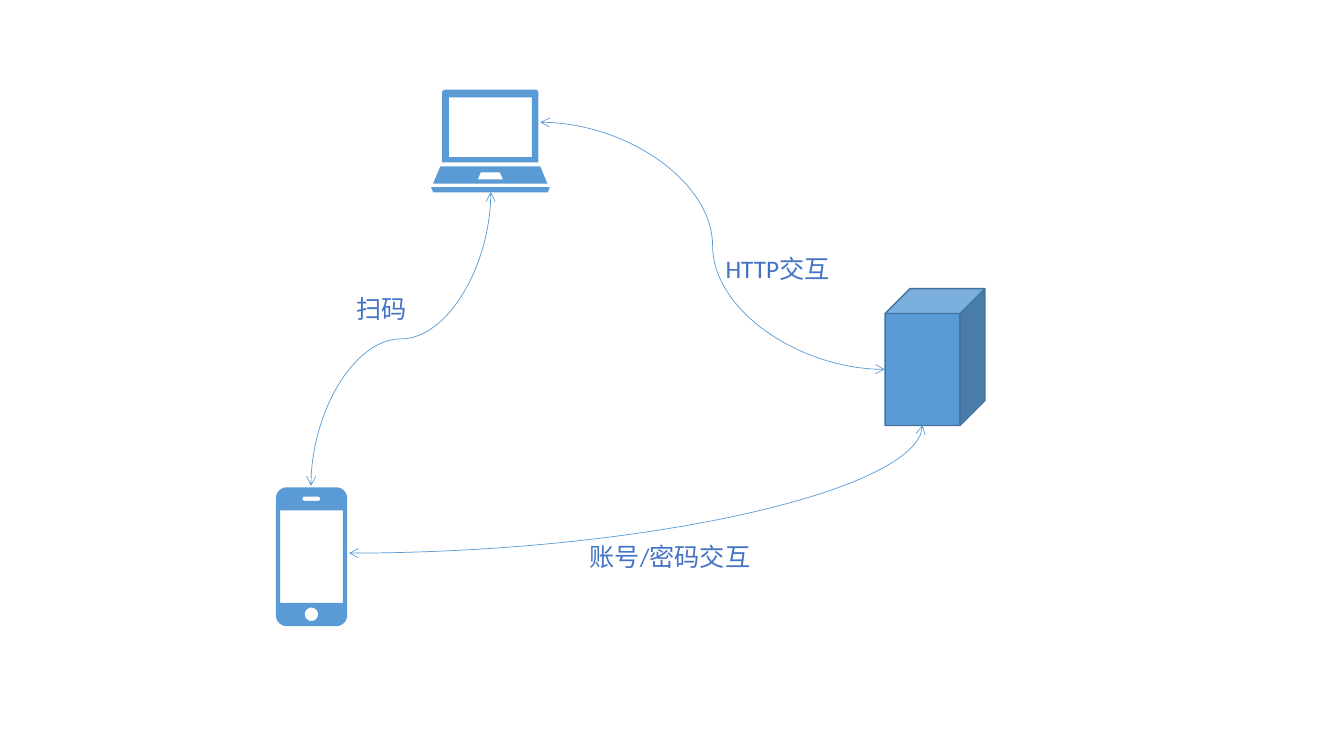
from dataclasses import dataclass
from math import cos, radians, sin

from lxml import etree
from pptx import Presentation
from pptx.dml.color import RGBColor
from pptx.enum.shapes import MSO_CONNECTOR, MSO_SHAPE
from pptx.enum.text import MSO_AUTO_SIZE
from pptx.oxml.ns import qn
from pptx.util import Pt

CURVE = MSO_CONNECTOR.CURVE
CUBE = MSO_SHAPE.CUBE
GROW = MSO_AUTO_SIZE.SHAPE_TO_FIT_TEXT

BLUE = "5B9BD5"
EDGE = "43739E"
TEXT = "4472C4"
LABEL_FONT = {"name": "Calibri", "size": Pt(18)}
LABEL_HEIGHT = 29

Contour = list[tuple[float, float]]


@dataclass
class Label:
    text: str
    left: float
    top: float
    width: float


@dataclass
class Link:
    left: float
    top: float
    width: float
    height: float
    rotation: int = 0
    geometry: str = "curvedConnector3"


def rgb(color: str) -> RGBColor:
    return RGBColor.from_string(color)


def box(left: float, top: float, right: float, bottom: float) -> Contour:
    return [(left, top), (right, top), (right, bottom), (left, bottom)]


def round_box(left: float, top: float, right: float, bottom: float, radius: float) -> Contour:
    centres = box(left + radius, top + radius, right - radius, bottom - radius)
    return [
        (x + radius * cos(radians(angle)), y + radius * sin(radians(angle)))
        for corner, (x, y) in enumerate(centres)
        for angle in range(180 + 90 * corner, 271 + 90 * corner, 15)
    ]


LAPTOP: list[Contour] = [
    [(314.6, 118.8), (385.9, 118.8), (391, 131.1), (309.4, 131.1)],
    [(341.3, 128.2), (343.4, 123.1), (357.1, 123.1), (359.3, 128.2)],
    round_box(315.8, 64.1, 384.6, 80, 2)[:14] + [(384.6, 116), (315.8, 116)],
    box(320.6, 69.6, 380, 112.3),
    [(307.9, 133.7), (392.7, 133.7), (391.2, 137.5), (309.5, 137.5)],
]
PHONE: list[Contour] = [
    round_box(197.1, 348.1, 248, 447.3, 7.8),
    round_box(216.1, 354.7, 228.7, 357.9, 1.6),
    round_box(217.7, 434, 227.3, 443.6, 4.8),
    box(200.1, 364.6, 244.9, 430.6),
]
LINKS = [
    Link(181.44, 177.84, 209.8, 128.5, 90),
    Link(386, 87.3, 246.1, 176.6),
    Link(408.4, 144.5, 91.5, 409.7, 90, "curvedConnector2"),
]
LABELS = [
    Label("扫码", 247.7, 205.9, 52.6),
    Label("HTTP交互", 511.2, 177.1, 90.7),
    Label("账号/密码交互", 414, 383, 132.5),
]


def add_icon(s, contours: list[Contour]) -> None:
    first, *rest = [[(Pt(x), Pt(y)) for x, y in contour] for contour in contours]
    builder = s.shapes.build_freeform(*first[0])
    builder.add_line_segments(first[1:], close=True)
    for contour in rest:
        builder.move_to(*contour[0])
        builder.add_line_segments(contour[1:], close=True)
    sp = builder.convert_to_shape()
    sp.shadow.inherit = False
    sp.fill.solid()
    sp.fill.fore_color.rgb = rgb(BLUE)
    sp.line.fill.background()


def add_server(s) -> None:
    sp = s.shapes.add_shape(CUBE, Pt(632.2), Pt(206.2), Pt(71.3), Pt(97.8))
    sp.shadow.inherit = False
    sp.fill.solid()
    sp.fill.fore_color.rgb = rgb(BLUE)
    sp.line.color.rgb = rgb(EDGE)
    sp.line.width = Pt(1)


def add_link(s, link: Link) -> None:
    right, bottom = link.left + link.width, link.top + link.height
    cxn = s.shapes.add_connector(CURVE, Pt(link.left), Pt(link.top), Pt(right), Pt(bottom))
    cxn.line.color.rgb = rgb(BLUE)
    cxn.line.width = Pt(0.5)
    props = cxn.element.spPr
    props.find(qn("a:xfrm")).set("rot", str(link.rotation * 60000))
    props.find(qn("a:prstGeom")).set("prst", link.geometry)
    ln = props.find(qn("a:ln"))
    for end in ("a:headEnd", "a:tailEnd"):
        etree.SubElement(ln, qn(end), type="arrow")
    etree.SubElement(props, qn("a:effectLst"))


def add_label(s, label: Label) -> None:
    sp = s.shapes.add_textbox(Pt(label.left), Pt(label.top), Pt(label.width), Pt(LABEL_HEIGHT))
    tf = sp.text_frame
    tf.word_wrap = True
    tf.auto_size = GROW
    r = tf.paragraphs[0].add_run()
    r.text = label.text
    for name, value in LABEL_FONT.items():
        setattr(r.font, name, value)
    r.font.color.rgb = rgb(TEXT)


def main() -> None:
    prs = Presentation()
    prs.slide_width, prs.slide_height = Pt(960), Pt(540)
    s = prs.slides.add_slide(prs.slide_layouts[6])
    add_server(s)
    for icon in (LAPTOP, PHONE):
        add_icon(s, icon)
    for link in LINKS:
        add_link(s, link)
    for label in LABELS:
        add_label(s, label)
    prs.save("out.pptx")


if __name__ == "__main__":
    main()
